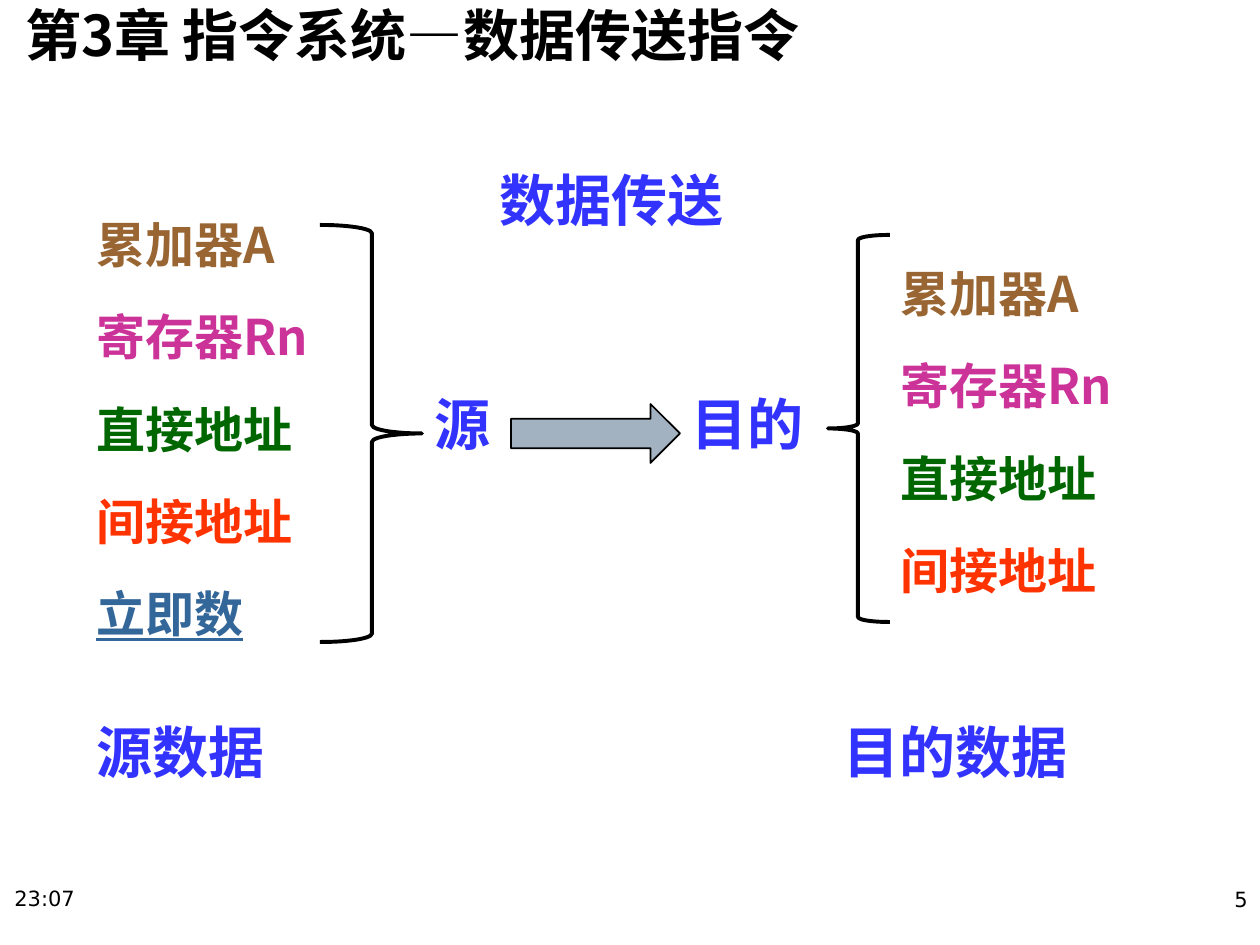
from lxml import etree
from pptx import Presentation, util as u
from pptx.dml.color import RGBColor
from pptx.enum import shapes, text
from pptx.oxml.ns import qn

PX = u.Inches(1) // 126
CJK, SANS = "Noto Sans CJK SC", "DejaVu Sans"
BLUE, BLACK = "3333FF", "000000"
OPERANDS = [("累加器A", "996633"), ("寄存器Rn", "CC3399"),
            ("直接地址", "006600"), ("间接地址", "FF3300")]
IMMEDIATE = ("立即数", "336699")
LABEL = {"size": u.Pt(32), "name": CJK, "bold": True}
ITEM = {"size": u.Pt(28), "name": CJK, "bold": True}
FOOTER = {"size": u.Pt(12), "name": SANS, "bold": False}
LABEL_PARA = {"alignment": text.PP_ALIGN.LEFT, "line_spacing": 1.0}
ITEM_PARA = {"alignment": text.PP_ALIGN.JUSTIFY, "line_spacing": 1.4,
             "space_before": u.Pt(5.6)}


def rgb(value):
    return RGBColor.from_string(value)


def box(*lengths):
    return [n * PX for n in lengths]


def set_all(target, values):
    for name, value in values.items():
        setattr(target, name, value)


def add_run(p, words, color, font, para):
    set_all(p, para)
    r = p.add_run()
    r.text = words
    set_all(r.font, font)
    r.font.color.rgb = rgb(color)
    ea = etree.SubElement(r.font._element, qn("a:ea"))
    ea.set("typeface", font["name"])
    return r


def add_text(s, at, words, color, font, para, wrap=True):
    tf = s.shapes.add_textbox(*box(*at)).text_frame
    tf.word_wrap = wrap
    add_run(tf.paragraphs[0], words, color, font, para)


def add_label(s, at, words):
    add_text(s, at, words, BLUE, LABEL, LABEL_PARA, wrap=False)


def add_list(s, at, items):
    tf = s.shapes.add_textbox(*box(*at)).text_frame
    tf.word_wrap = True
    for i, (words, color) in enumerate(items):
        p = tf.add_paragraph() if i else tf.paragraphs[0]
        r = add_run(p, words, color, ITEM, ITEM_PARA)
        if (words, color) == IMMEDIATE:
            r.font.underline = True


def add_figure(s, kind, at, fill, weight):
    sp = s.shapes.add_shape(kind, *box(*at))
    sp.shadow.inherit = False
    sp.fill.solid()
    sp.fill.fore_color.rgb = rgb(fill)
    sp.line.color.rgb = rgb(BLACK)
    sp.line.width = u.Pt(weight)
    # Square caps finish the open ends of the braces
    sp._element.spPr.find(qn("a:ln")).set("cap", "sq")


def set_title(s, at, words):
    sp = s.shapes.title
    set_all(sp, dict(zip(("left", "top", "width", "height"), box(*at))))
    tf = sp.text_frame
    set_all(tf, {"margin_left": 25 * PX, "margin_top": 0, "margin_right": 0,
                 "margin_bottom": 0, "word_wrap": True,
                 "auto_size": text.MSO_AUTO_SIZE.NONE,
                 "vertical_anchor": text.MSO_ANCHOR.TOP})
    add_run(tf.paragraphs[0], words, BLACK, LABEL, LABEL_PARA)


def main():
    prs = Presentation()
    prs.slide_width, prs.slide_height = box(1260, 945)
    s = prs.slides.add_slide(prs.slide_layouts[5])
    set_title(s, (0, 0, 917, 98), "第3章 指令系统—数据传送指令")

    # Operands allowed on each side
    add_list(s, (888, 234, 277, 397), OPERANDS)
    add_list(s, (84, 185, 277, 496), OPERANDS + [IMMEDIATE])

    # Braces and the transfer arrow
    kinds = shapes.MSO_SHAPE
    add_figure(s, kinds.LEFT_BRACE, (828, 235, 60, 387), "FFFFFF", 2.25)
    add_figure(s, kinds.RIGHT_BRACE, (322, 225, 100, 417), "FFFFFF", 2.25)
    add_figure(s, kinds.RIGHT_ARROW, (511, 404, 169, 59), "A3B2C1", 1)

    # Labels
    add_label(s, (487, 159, 252, 81), "数据传送")
    add_label(s, (422, 383, 82, 81), "源")
    add_label(s, (679, 383, 139, 81), "目的")
    add_label(s, (84, 711, 195, 81), "源数据")
    add_label(s, (831, 711, 252, 81), "目的数据")

    # Time and page number
    add_text(s, (2, 879, 273, 65), "23:07", BLACK, FOOTER,
             {"alignment": text.PP_ALIGN.LEFT})
    add_text(s, (987, 880, 273, 65), "5", BLACK, FOOTER,
             {"alignment": text.PP_ALIGN.RIGHT})
    prs.save("out.pptx")


if __name__ == "__main__":
    main()
